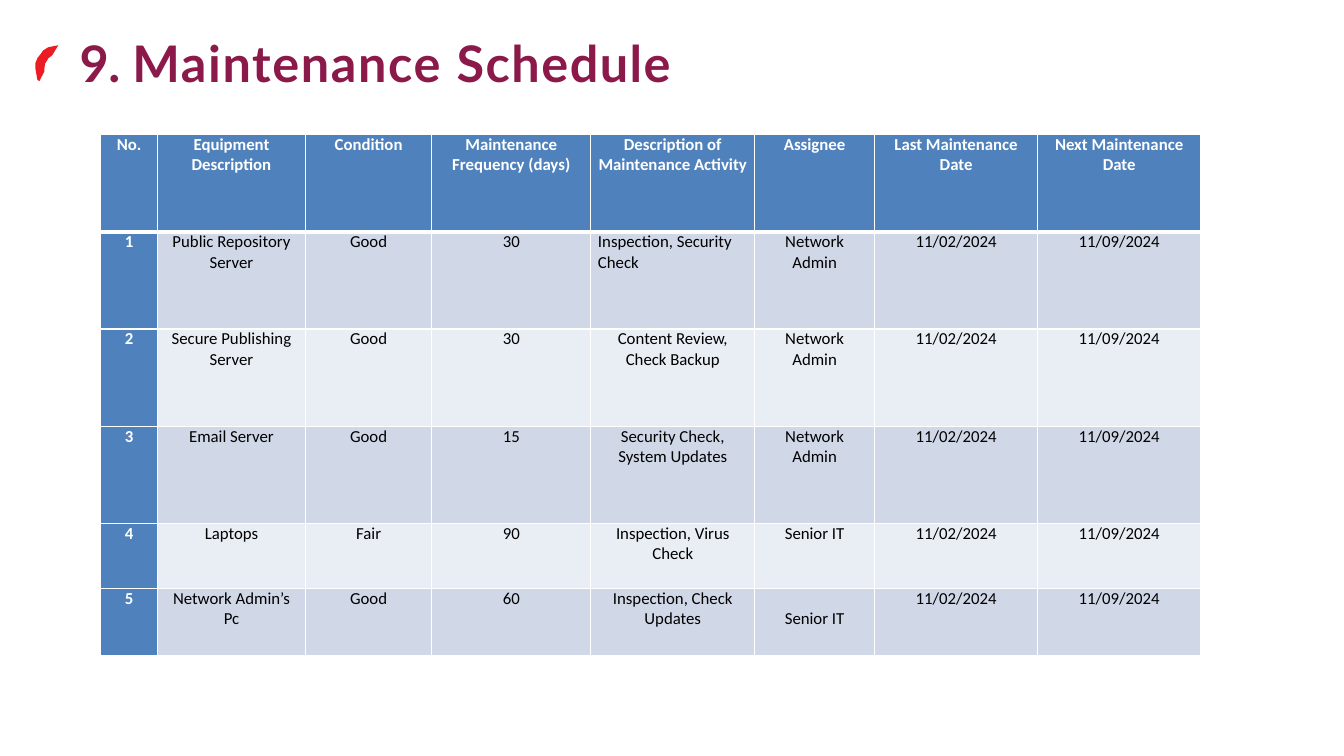
from lxml import etree
from pptx import Presentation
from pptx import util as u
from pptx.dml.color import RGBColor
from pptx.enum import text
from pptx.oxml import ns

Cm, Pt = u.Cm, u.Pt
HUES = {"title": "8B1A4A", "mark": "EB1C23", "head": "4F81BD", "odd": "D0D8E8",
        "even": "E9EDF4", "white": "FFFFFF", "ink": "000000"}

# Outline of the red mark, in hundredths of a centimetre
ARC = [(58, 0), (43, 3), (33, 5), (20, 13), (13, 23), (5, 33), (0, 46), (0, 58),
       (3, 74), (5, 86), (10, 91), (23, 66), (23, 58), (25, 46), (33, 33), (43, 25)]

# Table contents
COLS = [1.43, 3.73, 3.18, 4.01, 4.13, 3.02, 4.11, 4.11]
ROWS = [2.45] * 4 + [1.63, 1.7]
HEAD = ["No.", "Equipment Description", "Condition", "Maintenance Frequency (days)",
        "Description of Maintenance Activity", "Assignee",
        "Last Maintenance Date", "Next Maintenance Date"]
ITEMS = [
    ("Public Repository Server", "Good", "30", "Inspection, Security Check", "Network Admin"),
    ("Secure Publishing Server", "Good", "30", "Content Review,\nCheck Backup", "Network Admin"),
    ("Email Server", "Good", "15", "Security Check, System Updates", "Network Admin"),
    ("Laptops", "Fair", "90", "Inspection, Virus Check", "Senior IT"),
    ("Network Admin’s Pc", "Good", "60", "Inspection, Check Updates", "Senior IT"),
]
DATES = ("11/02/2024", "11/09/2024")


def hue(name):
    return RGBColor.from_string(HUES[name])


def add_mark(slide, left, top):
    pen = slide.shapes.build_freeform(*ARC[0], scale=Cm(0.01))
    pen.add_line_segments(ARC[1:], close=True)
    mark = pen.convert_to_shape(Cm(left), Cm(top))
    mark.shadow.inherit = False
    mark.fill.solid()
    mark.fill.fore_color.rgb = hue("mark")
    mark.line.fill.background()


def add_title(slide, left, top, width, height):
    frame = slide.shapes.add_textbox(Cm(left), Cm(top), Cm(width), Cm(height)).text_frame
    frame.word_wrap = True
    frame.margin_left, frame.margin_top = Cm(0.36), Cm(0.05)
    frame.margin_right = frame.margin_bottom = 0
    para = frame.paragraphs[0]
    for words, gap in (("9. ", -30), ("Maintenance ", 120), ("Schedule", 110)):
        run = para.add_run()
        run.text = words
        run.font._element.set("spc", str(gap))
    font = para.font
    font.name, font.size, font.bold = "Lato", Pt(36), True
    font.color.rgb = hue("title")


def add_edge(cell, side, width):
    line = etree.SubElement(cell._tc.get_or_add_tcPr(), ns.qn("a:ln" + side), w=str(Pt(width)))
    fill = etree.SubElement(line, ns.qn("a:solidFill"))
    etree.SubElement(fill, ns.qn("a:srgbClr"), val=HUES["white"])


def fill_cell(cell, words, row, col):
    label = row == 0 or col == 0
    # Thicker rule below the header row
    for side in "LRTB":
        add_edge(cell, side, 3 if (row, side) in ((0, "B"), (1, "T")) else 1)
    cell.fill.solid()
    cell.fill.fore_color.rgb = hue("head" if label else "odd" if row % 2 else "even")
    cell.margin_left = cell.margin_right = Cm(0.18)
    cell.margin_top = cell.margin_bottom = 0
    cell.text = words
    for para in cell.text_frame.paragraphs:
        para.alignment = text.PP_ALIGN.CENTER
        font = para.font
        font.name, font.size, font.bold = "Calibri", Pt(12), label
        font.color.rgb = hue("white" if label else "ink")


def add_plan(slide, left, top):
    grid = slide.shapes.add_table(len(ROWS), len(COLS), Cm(left), Cm(top),
                                  Cm(sum(COLS)), Cm(sum(ROWS))).table
    for col, width in zip(grid.columns, COLS):
        col.width = Cm(width)
    for row, height in zip(grid.rows, ROWS):
        row.height = Cm(height)
    lines = [HEAD] + [(str(n), *item, *DATES) for n, item in enumerate(ITEMS, 1)]
    for r, line in enumerate(lines):
        for c, words in enumerate(line):
            fill_cell(grid.cell(r, c), words, r, c)
    # Two cells set apart from the rest
    grid.cell(1, 4).text_frame.paragraphs[0].alignment = text.PP_ALIGN.LEFT
    grid.cell(5, 5).margin_top = Cm(0.52)


def main():
    deck = Presentation()
    deck.slide_width, deck.slide_height = Cm(33.87), Cm(19.05)
    slide = deck.slides.add_slide(deck.slide_layouts[6])
    add_mark(slide, 0.89, 1.14)
    add_title(slide, 1.65, 0.76, 28.96, 1.93)
    add_plan(slide, 2.54, 3.39)
    deck.save("out.pptx")


if __name__ == "__main__":
    main()
